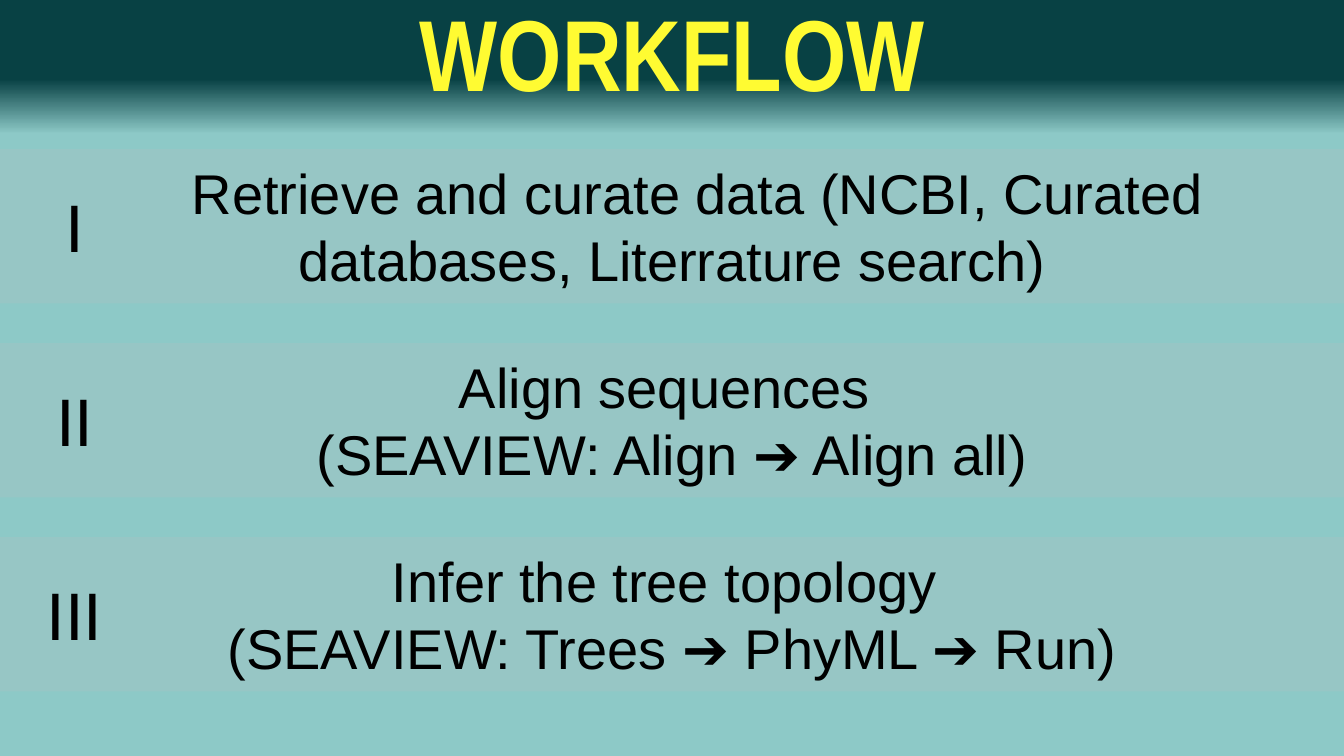
from lxml.etree import SubElement
from pptx import Presentation
from pptx.dml.color import RGBColor
from pptx.enum.shapes import MSO_SHAPE as Shape
from pptx.enum.text import MSO_ANCHOR as Anchor, MSO_AUTO_SIZE as AutoSize, PP_ALIGN as Align
from pptx.oxml.ns import qn
from pptx.util import Inches, Pt

# Content
HEADING = "WORKFLOW"
STEPS = [
    ("I", ["\tRetrieve and curate data (NCBI, Curated databases, Literrature search)"]),
    ("II", ["Align sequences ", "(SEAVIEW: Align ➔ Align all)"]),
    ("III", ["Infer the tree topology ", "(SEAVIEW: Trees ➔ PhyML ➔ Run)"]),
]

# Look and layout, in inches
COLORS = {"page": "8DC9C7", "header": "084144", "heading": "FFFB32",
          "band": "BFBFBF", "text": "000000"}
WIDTH, HEIGHT = 13.33, 7.5
HEADER_HEIGHT = 1.33
BAND_TOP, BAND_HEIGHT, BAND_PITCH = 1.48, 1.53, 1.925
BAND_OPACITY = 22
TEXT_HEIGHT = 1.45
NUMERAL_CENTER, NUMERAL_HEIGHT = 0.75, 0.91
STROKE_WIDTH, NUMERAL_INSETS = 0.19, 0.2


def color(name):
    return RGBColor.from_string(COLORS[name])


def place(left, top, width, height):
    return [Inches(value) for value in (left, top, width, height)]


def add_band(shapes, top, height):
    band = shapes.add_shape(Shape.RECTANGLE, *place(0, top, WIDTH, height))
    band.shadow.inherit = False
    band.line.fill.background()
    return band


def write(frame, lines, size, ink, font="Arial", bold=False, align=Align.CENTER):
    frame.vertical_anchor = Anchor.TOP
    for index, line in enumerate(lines):
        paragraph = frame.add_paragraph() if index else frame.paragraphs[0]
        paragraph.alignment = align
        run = paragraph.add_run()
        run.text = line
        run.font.name, run.font.size, run.font.bold = font, Pt(size), bold
        run.font.color.rgb = color(ink)


def add_step(shapes, top, numeral, lines):
    step = shapes.add_group_shape().shapes

    # Translucent band
    band = add_band(step, top, BAND_HEIGHT)
    band.fill.solid()
    band.fill.fore_color.rgb = color("band")
    tint = band.fill._xPr.find(".//" + qn("a:srgbClr"))
    SubElement(tint, qn("a:alpha"), val=str(BAND_OPACITY * 1000))

    # Description
    text_top = top + (BAND_HEIGHT - TEXT_HEIGHT) / 2
    description = step.add_textbox(*place(0, text_top, WIDTH, TEXT_HEIGHT)).text_frame
    description.word_wrap = True
    write(description, lines, 40, "text")

    # Roman numeral
    width = NUMERAL_INSETS + STROKE_WIDTH * len(numeral)
    numeral_top = top + (BAND_HEIGHT - NUMERAL_HEIGHT) / 2
    label = step.add_textbox(*place(NUMERAL_CENTER - width / 2, numeral_top,
                                    width, NUMERAL_HEIGHT)).text_frame
    label.word_wrap = False
    write(label, [numeral], 48, "text", align=Align.LEFT)


def main():
    deck = Presentation()
    deck.slide_width, deck.slide_height = Inches(WIDTH), Inches(HEIGHT)
    slide = deck.slides.add_slide(deck.slide_layouts[5])
    slide.background.fill.solid()
    slide.background.fill.fore_color.rgb = color("page")

    # Header fading into the page
    header = add_band(slide.shapes, 0, HEADER_HEIGHT)
    header.fill.gradient()
    header.fill.gradient_angle = 90
    for stop, name, position in zip(header.fill.gradient_stops,
                                    ("page", "header"), (0, 0.41)):
        stop.color.rgb = color(name)
        stop.position = position

    # Heading, in front of the header
    heading = slide.shapes.title
    header._element.addnext(heading._element)
    heading.left, heading.top, heading.width, heading.height = place(1.96, -0.14, 9.42, 1.31)
    heading.text_frame.auto_size = AutoSize.NONE
    write(heading.text_frame, [HEADING], 72, "heading", "Arial Narrow", True)

    # Steps
    for row, (numeral, lines) in enumerate(STEPS):
        add_step(slide.shapes, BAND_TOP + row * BAND_PITCH, numeral, lines)

    deck.save("out.pptx")


if __name__ == "__main__":
    main()
